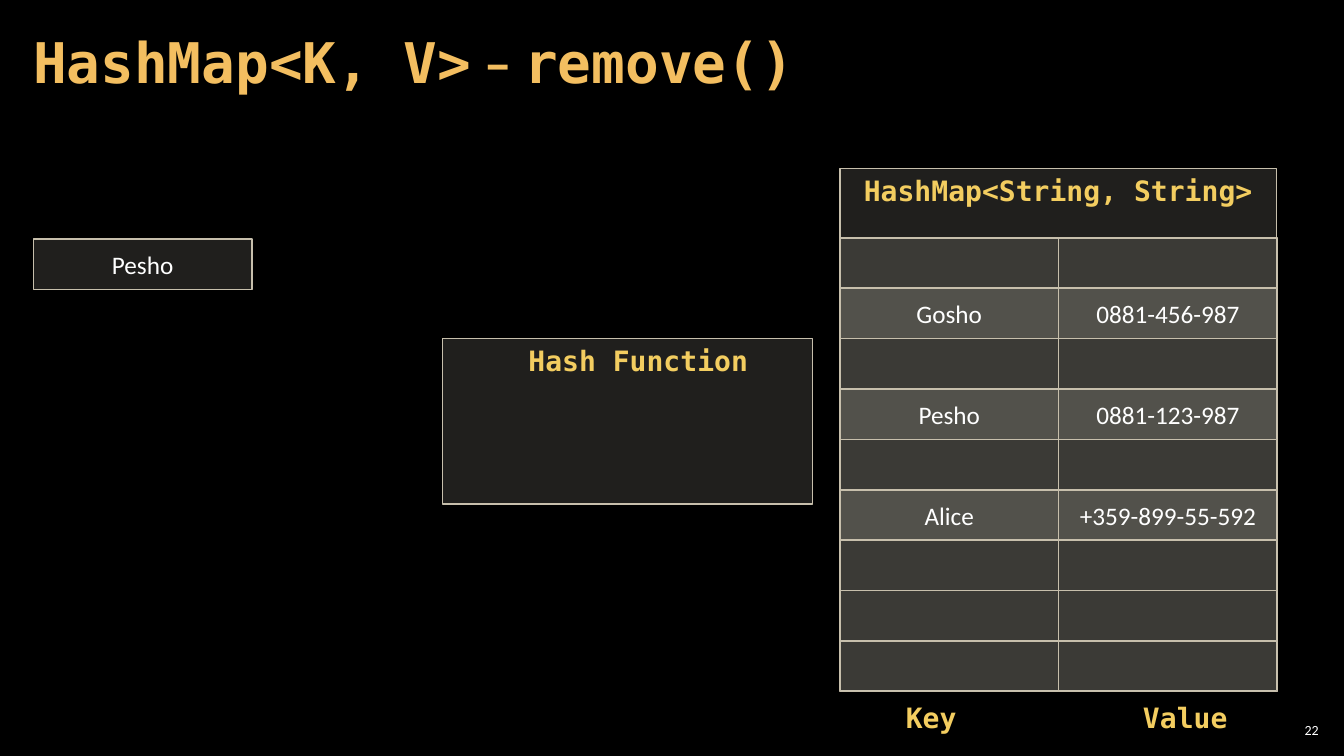
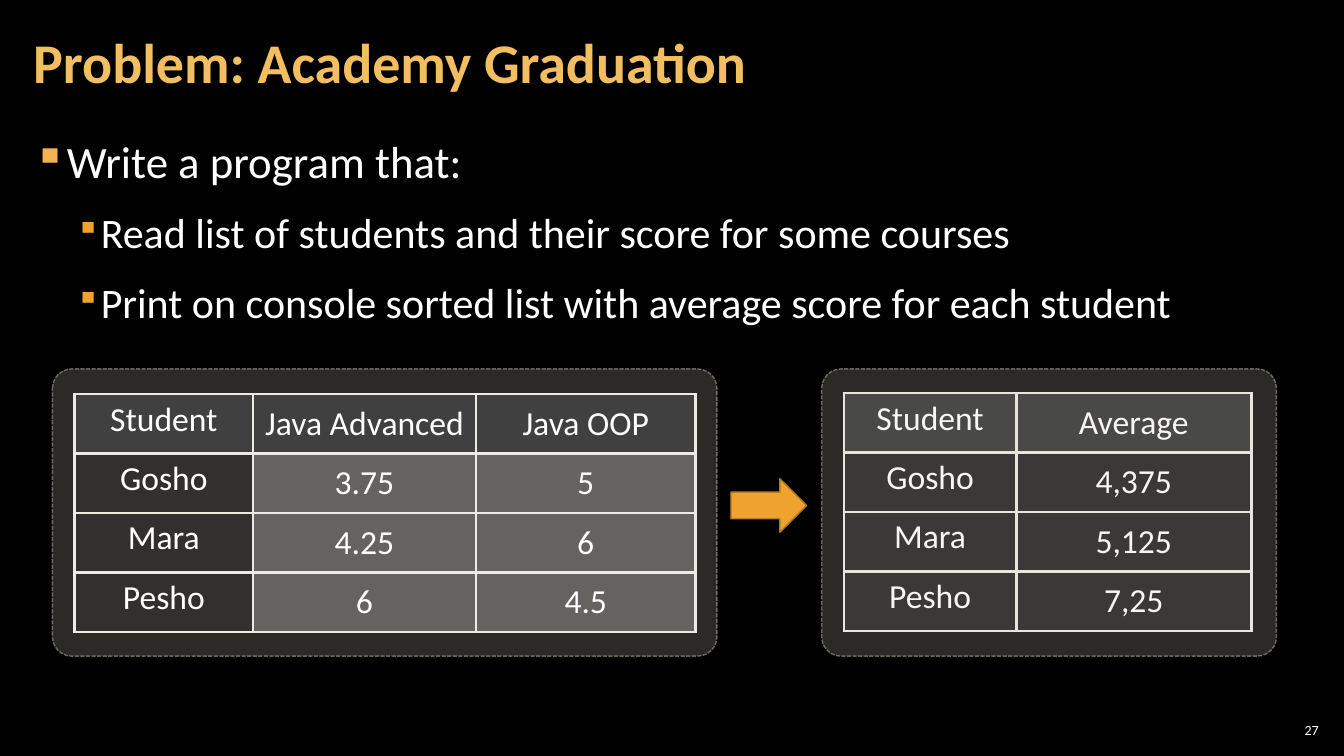
from lxml.etree import SubElement
from pptx import Presentation
from pptx.dml.color import RGBColor
from pptx.enum.dml import MSO_LINE
from pptx.enum.shapes import MSO_SHAPE as Shape
from pptx.enum.text import MSO_ANCHOR as Anchor, PP_ALIGN as Align
from pptx.oxml.ns import qn
from pptx.util import Inches, Pt

# Shared style
BLACK, WHITE, SAND, STONE = "000000", "FFFFFF", "D9D5C7", "C7BFAC"
ORANGE, BRONZE, GOLD = "F0A22E", "B27822", "F2B254"
GRAY, CHARCOAL, IVORY = "404040", "262626", "ECEAE3"
SANS, MONO = "Calibri", "DejaVu Sans Mono"

FONTS = {
    "title": ({"name": SANS, "size": Pt(40), "bold": True}, "F3BE60"),
    "label": ({"name": MONO, "size": Pt(20), "bold": True}, "F3CD60"),
    "entry": ({"name": SANS, "size": Pt(18)}, WHITE),
    "grid": ({"name": SANS, "size": Pt(24)}, WHITE),
    "number": ({"name": SANS, "size": Pt(10)}, WHITE),
    "body": ({"name": SANS, "size": Pt(32)}, WHITE),
    "detail": ({"name": SANS, "size": Pt(30)}, WHITE),
}
# Per level: text style, left indent, bullet colour, bullet size
BULLETS = [("body", 0.33, 0.33, GOLD, 100), ("detail", 0.67, 0.25, ORANGE, 80)]


def rgb(color):
    return RGBColor.from_string(color)


def paint(fill, owner, color, alpha=100):
    """Fill solidly; owner is the XML element that holds the fill."""
    fill.solid()
    fill.fore_color.rgb = rgb(color)
    if alpha < 100:
        tone = owner.find(qn("a:solidFill")).find(qn("a:srgbClr"))
        SubElement(tone, qn("a:alpha"), val=str(alpha * 1000))


def write(para, text, style, **changes):
    values, color = FONTS[style]
    span = para.add_run()
    span.text = text
    for name, value in {**values, **changes}.items():
        setattr(span.font, name, value)
    span.font.color.rgb = rgb(color)


class Deck:
    def __init__(self):
        self.deck = Presentation()
        self.deck.slide_width, self.deck.slide_height = Inches(13.33), Inches(7.5)
        self.page = None

    def new_page(self, number, *title):
        """Start a slide; title is a list of (text, font name) pairs."""
        self.page = self.deck.slides.add_slide(self.deck.slide_layouts[6])
        paint(self.page.background.fill, self.page.element.cSld.bg.bgPr, BLACK)
        para = self.text_frame(0.21, 0.04, 10.47, 1.21, Anchor.MIDDLE).paragraphs[0]
        para.line_spacing = 0.9
        for text, name in title:
            write(para, text, "title", name=name)
        frame = self.text_frame(12.65, 7.14, 0.47, 0.21, Anchor.MIDDLE, 0.04)
        frame.paragraphs[0].alignment = Align.RIGHT
        write(frame.paragraphs[0], str(number), "number")

    def text_frame(self, left, top, width, height, anchor=Anchor.TOP, side=0.12, edge=0.04):
        box = self.page.shapes.add_textbox(*map(Inches, (left, top, width, height)))
        values = {
            "word_wrap": True, "vertical_anchor": anchor,
            "margin_left": Inches(side), "margin_right": Inches(side),
            "margin_top": Inches(edge), "margin_bottom": Inches(edge),
        }
        for name, value in values.items():
            setattr(box.text_frame, name, value)
        return box.text_frame

    def label(self, text, left, top, width):
        frame = self.text_frame(left, top, width, 0.44, side=0.1, edge=0.05)
        frame.paragraphs[0].alignment = Align.CENTER
        write(frame.paragraphs[0], text, "label")

    def bullets(self, items, left, top, width, height):
        """Write (level, text) items as a bulleted list."""
        frame = self.text_frame(left, top, width, height)
        for index, (level, text) in enumerate(items):
            style, indent, hang, color, size = BULLETS[level]
            para = frame.add_paragraph() if index else frame.paragraphs[0]
            values = {"level": level, "line_spacing": 1.05,
                      "space_before": Pt(6), "space_after": Pt(6)}
            for name, value in values.items():
                setattr(para, name, value)
            props = para._p.get_or_add_pPr()
            props.set("marL", str(Inches(indent)))
            props.set("indent", str(-Inches(hang)))
            SubElement(SubElement(props, qn("a:buClr")), qn("a:srgbClr"), val=color)
            SubElement(props, qn("a:buSzPct"), val=str(size * 1000))
            SubElement(props, qn("a:buChar"), char="▪")
            write(para, text, style)

    def shape(self, kind, left, top, width, height, fill=SAND, alpha=100, line=STONE):
        shape = self.page.shapes.add_shape(kind, *map(Inches, (left, top, width, height)))
        shape.shadow.inherit = False
        paint(shape.fill, shape.element.spPr, fill, alpha)
        paint(shape.line.fill, shape.line._ln, line)
        shape.line.width = Pt(1)
        return shape

    def cell(self, left, top, width, height, text=""):
        """Draw a translucent rectangle, with centred text if given."""
        shape = self.shape(Shape.RECTANGLE, left, top, width, height, alpha=15)
        if text:
            shape.text_frame.vertical_anchor = Anchor.MIDDLE
            para = shape.text_frame.paragraphs[0]
            para.alignment = Align.CENTER
            write(para, text, "entry")

    def panel(self, left, top, width, height):
        panel = self.shape(Shape.ROUNDED_RECTANGLE, left, top, width, height, alpha=20)
        panel.adjustments[0] = 0.067
        paint(panel.line.fill, panel.line._ln, STONE, 50)
        panel.line.dash_style = MSO_LINE.SQUARE_DOT

    def table(self, rows, left, top, widths, row_height, head, first, rest):
        """Each of head, first and rest is a (colour, opacity) pair."""
        frame = self.page.shapes.add_table(
            len(rows), len(widths), Inches(left), Inches(top),
            Inches(sum(widths)), Inches(row_height * len(rows)))
        table = frame.table
        table.first_row = table.horz_banding = False
        for column, width in zip(table.columns, widths):
            column.width = Inches(width)
        for r, texts in enumerate(rows):
            table.rows[r].height = Inches(row_height)
            for c, text in enumerate(texts):
                cell = table.cell(r, c)
                props = cell._tc.get_or_add_tcPr()
                for side in "LRTB":
                    border = SubElement(props, qn("a:ln" + side), w=str(Pt(2.25)))
                    solid = SubElement(border, qn("a:solidFill"))
                    SubElement(solid, qn("a:srgbClr"), val=IVORY)
                paint(cell.fill, props, *(head if r == 0 else rest if c else first))
                cell.vertical_anchor = Anchor.MIDDLE if c else Anchor.TOP
                para = cell.text_frame.paragraphs[0]
                para.alignment = Align.CENTER
                write(para, text, "grid")


def remove_page(deck):
    deck.new_page(22, ("HashMap<K, V>", MONO), (" – ", SANS), ("remove()", MONO))

    # Hash map: frame, empty slots, then the stored entries over them
    left, top, slot_width, slot_height = 8.33, 2.36, 2.17, 0.5
    deck.cell(left, 1.67, 4.33, 5.18)
    deck.label("HashMap<String, String>", left, 1.67, 4.33)
    entries = {1: ("Gosho", "0881-456-987"), 3: ("Pesho", "0881-123-987"),
               5: ("Alice", "+359-899-55-592")}
    slots = [(row, ("", "")) for row in range(9)] + list(entries.items())
    for row, texts in slots:
        for column, text in enumerate(texts):
            deck.cell(left + column * slot_width, top + row * slot_height,
                      slot_width, slot_height, text)
    deck.label("Key", left, 6.9, 1.81)
    deck.label("Value", 10.85, 6.9, 1.81)

    # Hash function and the key to remove
    deck.cell(4.39, 3.36, 3.67, 1.64)
    deck.label("Hash Function", 4.83, 3.36, 3)
    deck.cell(0.33, 2.37, slot_width, slot_height, "Pesho")


def problem_page(deck):
    deck.new_page(27, ("Problem: Academy Graduation", SANS))
    deck.bullets([
        (0, "Write a program that:"),
        (1, "Read list of students and their score for some courses"),
        (1, "Print on console sorted list with average score for each student"),
    ], 0.21, 1.26, 12.91, 6.09)

    # Scores
    deck.panel(0.52, 3.66, 6.59, 2.85)
    deck.table([
        ("Student", "Java Advanced", "Java OOP"),
        ("Gosho", "3.75", "5"),
        ("Mara", "4.25", "6"),
        ("Pesho", "6", "4.5"),
    ], 0.74, 3.91, (1.77, 2.21, 2.18), 0.59, (GRAY, 100), (GRAY, 30), (IVORY, 30))

    # Averages, tinted by the panel in front
    deck.table([
        ("Student", "Average"),
        ("Gosho", "4,375"),
        ("Mara", "5,125"),
        ("Pesho", "7,25"),
    ], 8.37, 3.9, (1.71, 2.33), 0.59, (CHARCOAL, 100), (GRAY, 30), (GRAY, 30))
    deck.panel(8.15, 3.66, 4.51, 2.85)
    deck.shape(Shape.RIGHT_ARROW, 7.25, 4.75, 0.75, 0.53, ORANGE, line=BRONZE)


def main():
    deck = Deck()
    remove_page(deck)
    problem_page(deck)
    deck.deck.save("out.pptx")


if __name__ == "__main__":
    main()
